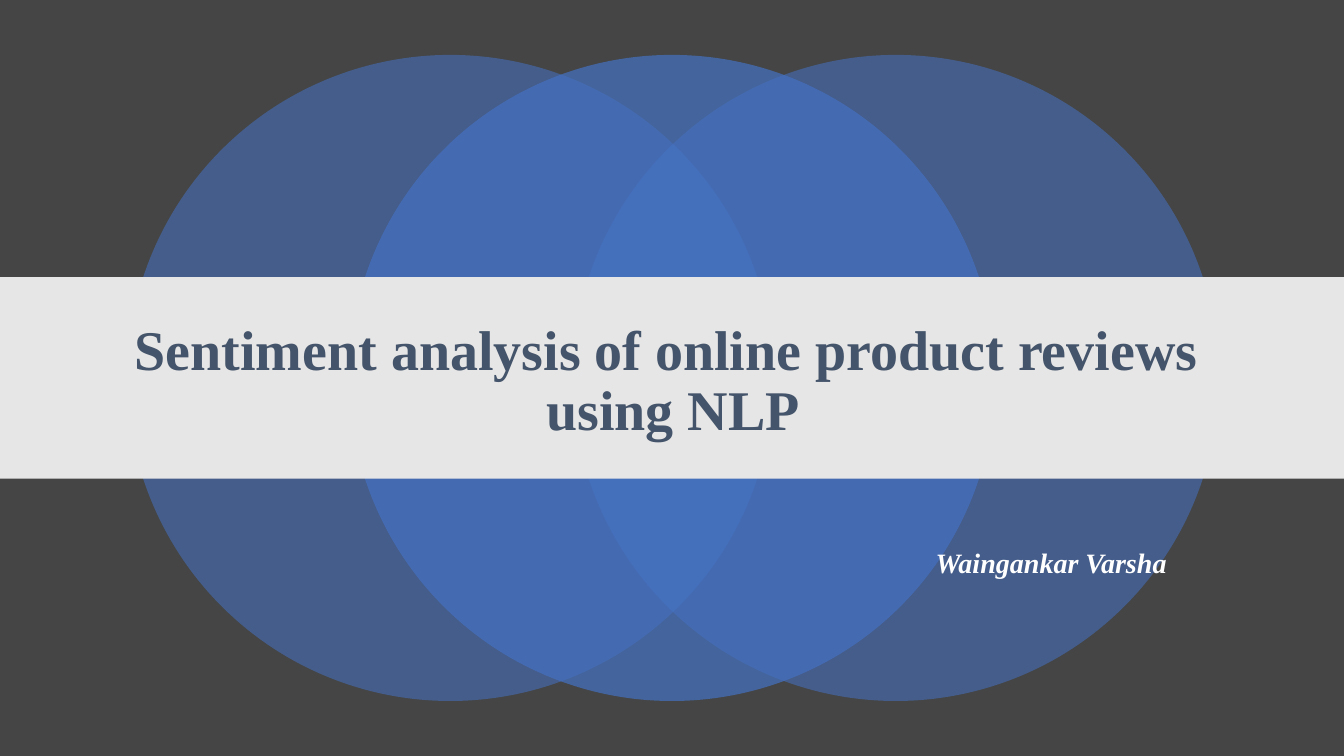
from dataclasses import dataclass

from lxml.etree import SubElement
from pptx import Presentation
from pptx.dml.color import RGBColor
from pptx.enum.shapes import MSO_SHAPE
from pptx.enum.text import MSO_ANCHOR, PP_ALIGN
from pptx.oxml.ns import qn
from pptx.shapes.autoshape import Shape
from pptx.slide import Slide
from pptx.util import Inches, Pt


@dataclass(frozen=True)
class Theme:
    back: str = "454545"
    disc: str = "4472C4"
    band: str = "E7E6E6"
    title: str = "44546A"
    author: str = "FFFFFF"
    font: str = "Times New Roman"
    title_size: int = 40
    author_size: int = 20


@dataclass(frozen=True)
class Box:
    left: float
    top: float
    width: float
    height: float


@dataclass(frozen=True)
class Disc:
    left: float
    opacity: int


@dataclass(frozen=True)
class Label:
    box: Box
    lines: tuple[str, ...]
    size: int
    color: str
    align: PP_ALIGN
    anchor: MSO_ANCHOR
    italic: bool = False


THEME = Theme()
WIDTH, HEIGHT = 13.33, 7.5
DISC_SIZE = 6.41
DISC_TOP = (HEIGHT - DISC_SIZE) / 2
DISCS = (Disc(1.26, 55), Disc(5.68, 55), Disc(3.46, 70))
BAND = Box(0, 2.75, WIDTH, 2)
LABELS = (
    Label(
        Box(0.89, 3.04, 11.57, 1.51),
        ("Sentiment analysis of online product reviews ", "using NLP"),
        THEME.title_size, THEME.title, PP_ALIGN.CENTER, MSO_ANCHOR.MIDDLE,
    ),
    Label(
        Box(1.67, 5.4, 10, 0.4),
        ("Waingankar Varsha",),
        THEME.author_size, THEME.author, PP_ALIGN.RIGHT, MSO_ANCHOR.TOP,
        italic=True,
    ),
)


def place(box: Box) -> tuple[Inches, Inches, Inches, Inches]:
    return Inches(box.left), Inches(box.top), Inches(box.width), Inches(box.height)


def add_plain(slide: Slide, kind: MSO_SHAPE, box: Box, color: str) -> Shape:
    """Add a filled shape with no line or shadow."""
    shape = slide.shapes.add_shape(kind, *place(box))
    shape.shadow.inherit = False
    shape.fill.solid()
    shape.fill.fore_color.rgb = RGBColor.from_string(color)
    shape.line.fill.background()
    return shape


def add_disc(slide: Slide, disc: Disc) -> None:
    box = Box(disc.left, DISC_TOP, DISC_SIZE, DISC_SIZE)
    shape = add_plain(slide, MSO_SHAPE.OVAL, box, THEME.disc)
    color = shape.element.spPr.find(f"{qn('a:solidFill')}/{qn('a:srgbClr')}")
    SubElement(color, qn("a:alpha"), val=str(disc.opacity * 1000))


def add_label(slide: Slide, label: Label) -> None:
    frame = slide.shapes.add_textbox(*place(label.box)).text_frame
    frame.word_wrap = True
    frame.vertical_anchor = label.anchor
    para = frame.paragraphs[0]
    para.alignment = label.align
    para.line_spacing = 0.9
    for index, line in enumerate(label.lines):
        if index:
            para.add_line_break()
        run = para.add_run()
        run.text = line
        run.font.name = THEME.font
        run.font.size = Pt(label.size)
        run.font.bold = True
        run.font.italic = label.italic
        run.font.color.rgb = RGBColor.from_string(label.color)


def main() -> None:
    deck = Presentation()
    deck.slide_width, deck.slide_height = Inches(WIDTH), Inches(HEIGHT)
    slide = deck.slides.add_slide(deck.slide_layouts[6])
    fill = slide.background.fill
    fill.solid()
    fill.fore_color.rgb = RGBColor.from_string(THEME.back)
    for disc in DISCS:
        add_disc(slide, disc)
    add_plain(slide, MSO_SHAPE.RECTANGLE, BAND, THEME.band)
    for label in LABELS:
        add_label(slide, label)
    deck.save("out.pptx")


if __name__ == "__main__":
    main()
